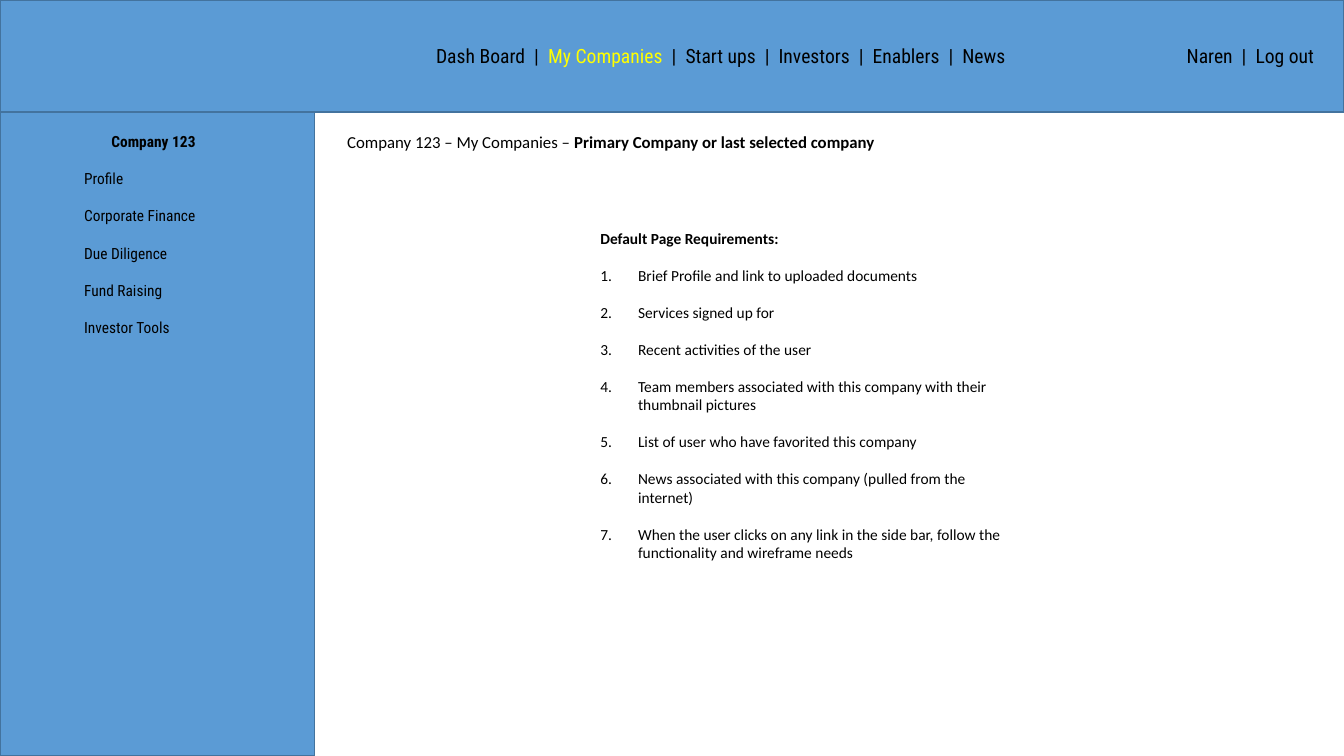
from lxml.etree import SubElement
from pptx import Presentation
from pptx.dml.color import RGBColor
from pptx.enum.shapes import MSO_SHAPE
from pptx.enum.text import PP_ALIGN
from pptx.oxml.ns import qn
from pptx.util import Cm, Pt

BLUE = RGBColor(0x5B, 0x9B, 0xD5)
EDGE = RGBColor(0x43, 0x73, 0x9E)
BLACK = RGBColor(0, 0, 0)
YELLOW = RGBColor(0xFF, 0xFF, 0)

WIDE, HIGH = 33.87, 19.05
SIDE, HEAD = 7.92, 2.82
MENU, BODY = "Roboto Condensed", "Calibri"

LINKS = ["Profile", "Corporate Finance", "Due Diligence", "Fund Raising",
         "Investor Tools"]
NEEDS = [
    "Brief Profile and link to uploaded documents",
    "Services signed up for",
    "Recent activities of the user",
    "Team members associated with this company with their thumbnail pictures",
    "List of user who have favorited this company",
    "News associated with this company (pulled from the internet)",
    "When the user clicks on any link in the side bar, follow the "
    "functionality and wireframe needs",
]


class Page:
    def __init__(self, slide):
        self.slide = slide

    def panel(self, width, height):
        """Draw a blue panel from the top left corner."""
        box = self.slide.shapes.add_shape(
            MSO_SHAPE.RECTANGLE, 0, 0, Cm(width), Cm(height))
        box.shadow.inherit = False
        box.fill.solid()
        box.fill.fore_color.rgb = BLUE
        box.line.color.rgb = EDGE
        box.line.width = Pt(1)

    def frame(self, left, top, width, height):
        box = self.slide.shapes.add_textbox(
            Cm(left), Cm(top), Cm(width), Cm(height))
        box.text_frame.word_wrap = True
        return box.text_frame

    def style(self, para, font, size, bold=None):
        para.font.name = font
        para.font.size = Pt(size)
        para.font.bold = bold
        para.font.color.rgb = BLACK

    def line(self, place, parts, font, size, align=PP_ALIGN.LEFT):
        """Write one line from (text, colour, bold) parts."""
        para = self.frame(*place).paragraphs[0]
        para.alignment = align
        self.style(para, font, size)
        for text, color, bold in parts:
            run = para.add_run()
            run.text = text
            run.font.color.rgb = color
            run.font.bold = bold

    def list(self, place, title, items, font, gap, align=PP_ALIGN.LEFT,
             count=False):
        """Write a bold title over spaced items, numbered if count is set."""
        frame = self.frame(*place)
        head = frame.paragraphs[0]
        head.alignment = align
        for i, text in enumerate([title, *items]):
            para = frame.add_paragraph() if i else head
            para.text = text
            para.space_after = Pt(gap)
            self.style(para, font, 11, bold=not i)
            if i and count:
                self.number(para)

    def number(self, para):
        props = para._p.get_or_add_pPr()
        props.set("marL", str(Cm(0.95)))
        props.set("indent", str(-Cm(0.95)))
        mark = SubElement(props, qn("a:buAutoNum"), type="arabicPeriod")
        props.find(qn("a:defRPr")).addprevious(mark)


def main():
    deck = Presentation()
    deck.slide_width, deck.slide_height = Cm(WIDE), Cm(HIGH)
    page = Page(deck.slides.add_slide(deck.slide_layouts[6]))

    page.panel(SIDE, HIGH)
    page.list((1.87, 3.2, 4, 5.43), "Company 123", LINKS, MENU, 13.4,
              align=PP_ALIGN.CENTER)

    page.panel(WIDE, HEAD)
    page.line((10.74, 0.99, 16.33, 0.86), [
        ("Dash Board  |  ", BLACK, False),
        ("My Companies ", YELLOW, False),
        (" |  Start ups  |  Investors  |  Enablers  |  News", BLACK, False),
    ], MENU, 14)
    page.line((28.75, 0.99, 4.62, 0.86),
              [("Naren  |  Log out", BLACK, False)], MENU, 14, PP_ALIGN.RIGHT)

    page.line((8.5, 3.2, 13.95, 0.76), [
        ("Company 123 – My Companies – ", BLACK, False),
        ("Primary Company or last selected company", BLACK, True),
    ], BODY, 12)
    page.list((14.88, 5.64, 10.75, 9.2), "Default Page Requirements:", NEEDS,
              BODY, 13.2, count=True)
    deck.save("out.pptx")


if __name__ == "__main__":
    main()
